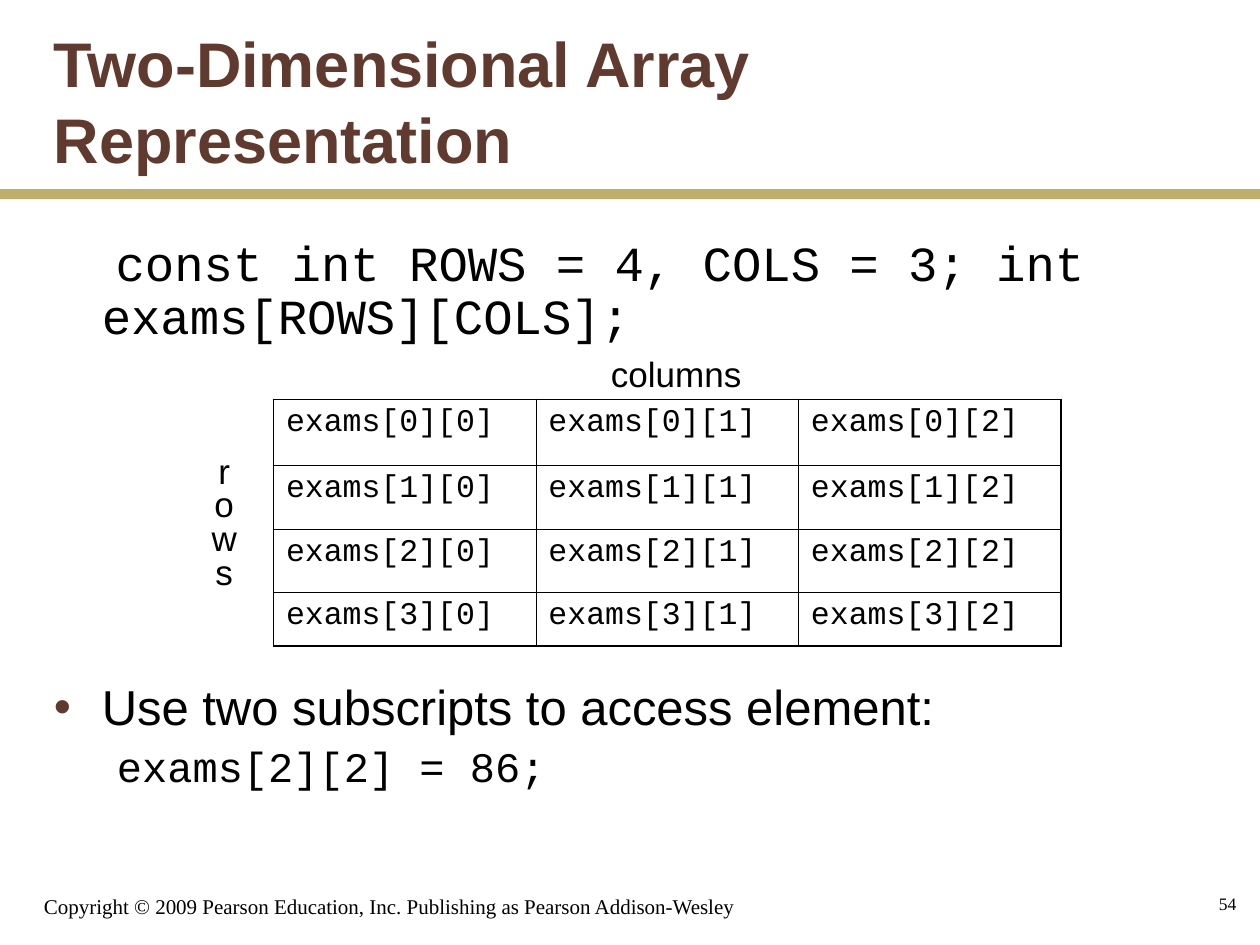
import pptx
import pptx.dml.color
import pptx.enum.shapes
import pptx.enum.text
import pptx.oxml
import pptx.oxml.ns
import pptx.util
from pptx.util import Inches

COLORS = {"text": "000000", "title": "603A2F", "rule": "BFAF6F", "background": "FFFFFF"}
ALIGN = pptx.enum.text.PP_ALIGN
ANCHOR = pptx.enum.text.MSO_ANCHOR
THICK, THIN = 1.08, 0.45


def color(name):
    return pptx.dml.color.RGBColor.from_string(COLORS[name])


def style(paragraph, size, font, color_name="text", bold=False):
    for run in paragraph.runs:
        run.font.size = pptx.util.Pt(size)
        run.font.name = font
        run.font.bold = bold
        run.font.color.rgb = color(color_name)


def add_text(slide, box, text, size, font, color_name="text", bold=False,
             anchor=ANCHOR.TOP, align=ALIGN.LEFT, spacing=1.0):
    """Add a text box with one paragraph per line of text."""
    shape = slide.shapes.add_textbox(*map(Inches, box))
    frame = shape.text_frame
    frame.word_wrap = True
    frame.vertical_anchor = anchor
    frame.text = text
    for paragraph in frame.paragraphs:
        paragraph.alignment = align
        paragraph.line_spacing = spacing
        style(paragraph, size, font, color_name, bold)
    return frame


def indent(paragraph, margin, first_line, bullet=None):
    properties = paragraph._p.get_or_add_pPr()
    properties.set("marL", str(Inches(margin)))
    properties.set("indent", str(Inches(first_line)))
    if bullet:
        namespace = pptx.oxml.ns.nsdecls("a")
        for xml in (
            f'<a:buClr {namespace}><a:srgbClr val="{COLORS["title"]}"/></a:buClr>',
            f'<a:buFont {namespace} typeface="Arial"/>',
            f'<a:buChar {namespace} char="{bullet}"/>',
        ):
            properties.append(pptx.oxml.parse_xml(xml))


def set_borders(cell, widths):
    """Draw the left, right, top and bottom borders, widths in points."""
    properties = cell._tc.get_or_add_tcPr()
    for position, (side, width) in enumerate(zip("LRTB", widths)):
        properties.insert(position, pptx.oxml.parse_xml(
            f'<a:ln{side} {pptx.oxml.ns.nsdecls("a")} w="{int(pptx.util.Pt(width))}">'
            f'<a:solidFill><a:srgbClr val="{COLORS["text"]}"/></a:solidFill></a:ln{side}>'))


def add_header(slide, box):
    left, top, width, height = box
    add_text(slide, (left + 0.33, top + 0.17, 8.5, 1.25), "Two-Dimensional Array Representation",
             36, "Arial", "title", bold=True, anchor=ANCHOR.MIDDLE)
    rule = slide.shapes.add_shape(
        pptx.enum.shapes.MSO_SHAPE.RECTANGLE,
        *map(Inches, (left, top + height - 0.08, width, 0.08)))
    rule.shadow.inherit = False
    rule.fill.solid()
    rule.fill.fore_color.rgb = color("rule")
    rule.line.fill.background()


def add_declaration(slide, box):
    frame = add_text(slide, box, "const int ROWS = 4, COLS = 3; int exams[ROWS][COLS];",
                     28, "Courier New", spacing=0.9)
    indent(frame.paragraphs[0], 0.38, 0.11)


def add_array_table(slide, box, row_heights, column_count):
    row_count = len(row_heights)
    table = slide.shapes.add_table(row_count, column_count, *map(Inches, box)).table
    table.first_row = table.horz_banding = False
    for column in table.columns:
        column.width = Inches(box[2] / column_count)
    for row, height in enumerate(row_heights):
        table.rows[row].height = Inches(height)
        for column in range(column_count):
            cell = table.cell(row, column)
            cell.text = f"exams[{row}][{column}]"
            cell.margin_left = cell.margin_right = Inches(0.1)
            cell.margin_top = cell.margin_bottom = Inches(0.05)
            cell.fill.background()
            style(cell.text_frame.paragraphs[0], 18, "Courier New")
            outer_sides = (column == 0, column == column_count - 1,
                           row == 0, row == row_count - 1)
            set_borders(cell, [THICK if outer else THIN for outer in outer_sides])


def add_array_diagram(slide, box):
    left, top, width, height = box
    add_array_table(slide, box, (0.52, 0.51, 0.5, 0.43), 3)
    add_text(slide, (left + 2.58, top - 0.42, 1.5, 0.42), "columns", 20, "Arial")
    add_text(slide, (left - 0.64, top + 0.41, 0.5, 1.17), "\n".join("rows"), 20, "Arial",
             align=ALIGN.CENTER, spacing=0.8)


def add_access_example(slide, box):
    frame = add_text(slide, box, "Use two subscripts to access element:\nexams[2][2] = 86;",
                     28, "Arial", spacing=0.9)
    bullet, code = frame.paragraphs
    indent(bullet, 0.38, -0.38, "•")
    indent(code, 0.81, -0.31)
    code.space_before = pptx.util.Pt(6)
    style(code, 24, "Courier New")


def add_footer(slide, box):
    left, top, width, height = box
    add_text(slide, (left, top, 6.08, 0.42),
             "Copyright © 2009 Pearson Education, Inc. Publishing as Pearson Addison-Wesley",
             12, "Times New Roman", anchor=ANCHOR.BOTTOM)
    add_text(slide, (left + width - 2.08, top, 2.08, height), "54", 10, "Times New Roman",
             anchor=ANCHOR.MIDDLE, align=ALIGN.RIGHT)


def main():
    presentation = pptx.Presentation()
    presentation.slide_width, presentation.slide_height = Inches(10), Inches(7.5)
    slide = presentation.slides.add_slide(presentation.slide_layouts[6])
    slide.background.fill.solid()
    slide.background.fill.fore_color.rgb = color("background")
    add_header(slide, (0, 0, 10, 1.58))
    add_declaration(slide, (0.33, 1.85, 8.5, 0.9))
    add_array_diagram(slide, (2.17, 3.17, 6.25, 1.96))
    add_access_example(slide, (0.33, 5.37, 8.5, 1.05))
    add_footer(slide, (0.25, 6.92, 9.66, 0.5))
    presentation.save("out.pptx")


if __name__ == "__main__":
    main()
